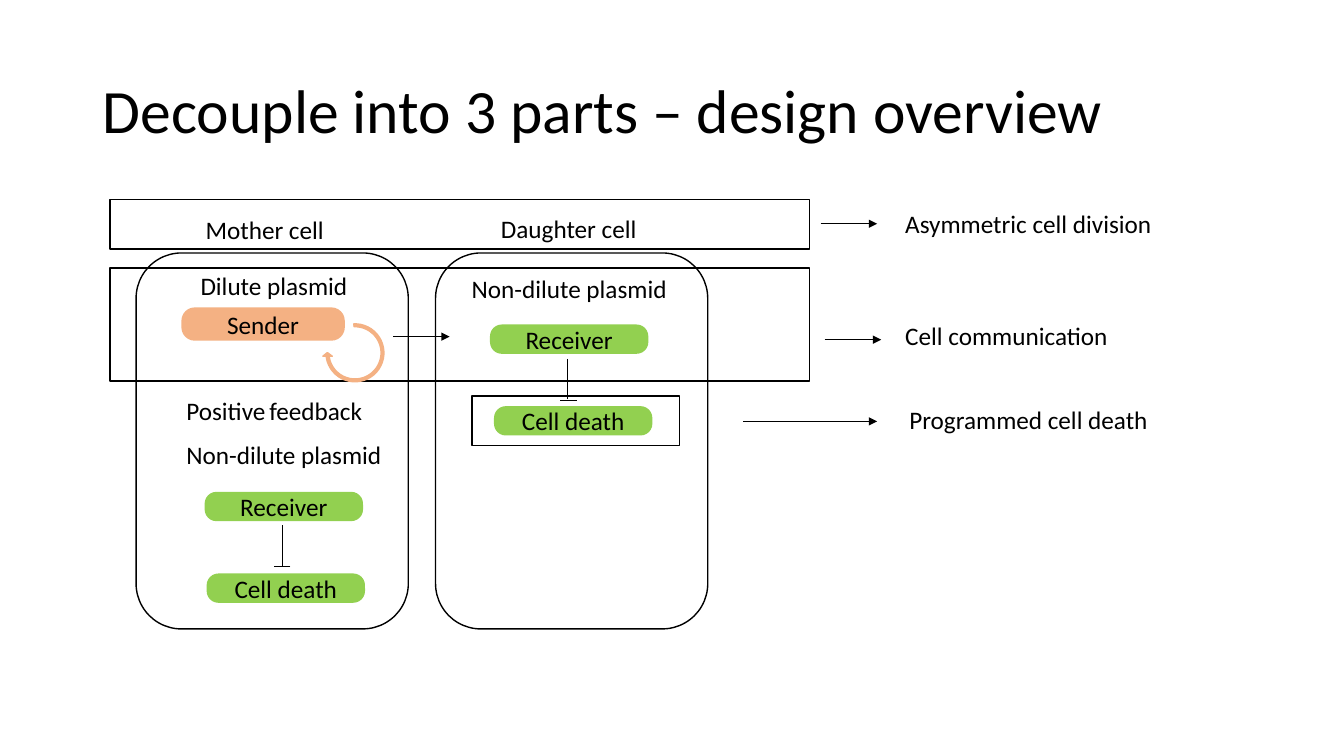
import pptx
import pptx.util
import pptx.dml.color
import pptx.enum.shapes
import pptx.enum.text
import pptx.oxml.ns
import lxml.etree

Inches = pptx.util.Inches
Pt = pptx.util.Pt
SHAPE = pptx.enum.shapes.MSO_SHAPE
ANCHOR = pptx.enum.text.MSO_ANCHOR
ALIGN = pptx.enum.text.PP_ALIGN
AUTO_SIZE = pptx.enum.text.MSO_AUTO_SIZE
BLACK = pptx.dml.color.RGBColor(0x00, 0x00, 0x00)
ORANGE = pptx.dml.color.RGBColor(0xF4, 0xB1, 0x83)
GREEN = pptx.dml.color.RGBColor(0x92, 0xD0, 0x50)
FONT = "Calibri"

presentation = pptx.Presentation()
presentation.slide_width = Inches(13.33)
presentation.slide_height = Inches(7.5)
slide = presentation.slides.add_slide(presentation.slide_layouts[5])


def add_box(kind, left, top, width, height, line_color=BLACK, line_width=1, fill=None):
    shape = slide.shapes.add_shape(
        kind, Inches(left), Inches(top), Inches(width), Inches(height))
    shape.shadow.inherit = False
    if fill is None:
        shape.fill.background()
    else:
        shape.fill.solid()
        shape.fill.fore_color.rgb = fill
    shape.line.color.rgb = line_color
    shape.line.width = Pt(line_width)
    return shape


def set_font(paragraph, size):
    paragraph.font.name = FONT
    paragraph.font.size = Pt(size)
    paragraph.font.color.rgb = BLACK


title = slide.shapes.title
title.left, title.top = Inches(0.92), Inches(0.4)
title.width, title.height = Inches(11.5), Inches(1.45)
title.text_frame.text = "Decouple into 3 parts – design overview"
title.text_frame.word_wrap = True
title.text_frame.auto_size = AUTO_SIZE.NONE
title.text_frame.vertical_anchor = ANCHOR.MIDDLE
title_paragraph = title.text_frame.paragraphs[0]
title_paragraph.alignment = ALIGN.LEFT
title_paragraph.line_spacing = 0.9
set_font(title_paragraph, 44)

for cell_left in (1.35, 4.32):
    add_box(SHAPE.ROUNDED_RECTANGLE, cell_left, 2.51, 2.7, 3.73)

for left, top, width, height in (
    (1.09, 1.98, 6.94, 0.49),
    (1.09, 2.66, 6.94, 1.12),
    (4.68, 3.93, 2.06, 0.49),
):
    add_box(SHAPE.RECTANGLE, left, top, width, height)

for name, left, top, width, height, color in (
    ("Sender", 1.81, 3.06, 1.6, 0.31, ORANGE),
    ("Receiver", 4.87, 3.23, 1.55, 0.27, GREEN),
    ("Cell death", 4.91, 4.04, 1.55, 0.27, GREEN),
    ("Receiver", 2.04, 4.89, 1.55, 0.27, GREEN),
    ("Cell death", 2.06, 5.7, 1.55, 0.27, GREEN),
):
    gene = add_box(SHAPE.ROUNDED_RECTANGLE, left, top, width, height, color, 1.5, color)
    gene.adjustments[0] = 0.394
    gene.text_frame.text = name
    gene.text_frame.vertical_anchor = ANCHOR.MIDDLE
    gene.text_frame.paragraphs[0].alignment = ALIGN.CENTER
    set_font(gene.text_frame.paragraphs[0], 18)

feedback_arrow = add_box(
    SHAPE.CIRCULAR_ARROW, 3.2, 3.18, 0.64, 0.64, ORANGE, 1, ORANGE)
feedback_arrow.rotation = 191.9
for index, value in enumerate((0.044, 4.614, 204.577, 45.609, 0.073)):
    feedback_arrow.adjustments[index] = value

for runs, left, top, width in (
    (["Mother cell"], 1.94, 2.08, 1.39),
    (["Daughter cell"], 4.87, 2.07, 1.56),
    (["Dilute plasmid"], 1.89, 2.63, 1.68),
    (["Non-dilute plasmid"], 4.58, 2.66, 2.16),
    (["Positive", " ", "feedback"], 1.75, 3.87, 1.97),
    (["Non-dilute plasmid"], 1.75, 4.31, 2.16),
    (["Asymmetric cell division"], 8.88, 2.02, 2.67),
    (["Cell communication"], 8.88, 3.13, 2.31),
    (["Programmed cell death"], 8.92, 3.96, 2.59),
):
    label = slide.shapes.add_textbox(
        Inches(left), Inches(top), Inches(width), Inches(0.4))
    label.text_frame.word_wrap = False
    label.text_frame.auto_size = AUTO_SIZE.SHAPE_TO_FIT_TEXT
    paragraph = label.text_frame.paragraphs[0]
    set_font(paragraph, 18)
    for text in runs:
        run = paragraph.add_run()
        run.text = text
        if text == " ":
            run.font.size = Pt(12)

for start_x, start_y, end_x, end_y, has_arrowhead in (
    (5.63, 3.56, 5.63, 3.96, False),
    (5.72, 3.97, 5.55, 3.97, False),
    (2.8, 5.21, 2.8, 5.62, False),
    (2.88, 5.62, 2.72, 5.62, False),
    (3.9, 3.34, 4.46, 3.34, True),
    (8.14, 2.22, 8.7, 2.22, True),
    (8.18, 3.37, 8.74, 3.37, True),
    (7.37, 4.18, 8.7, 4.18, True),
):
    connector = slide.shapes.add_connector(
        pptx.enum.shapes.MSO_CONNECTOR.STRAIGHT,
        Inches(start_x), Inches(start_y), Inches(end_x), Inches(end_y))
    connector.line.color.rgb = BLACK
    connector.line.width = Pt(0.5)
    properties = connector._element.spPr
    lxml.etree.SubElement(properties, pptx.oxml.ns.qn("a:effectLst"))
    if has_arrowhead:
        line = properties.find(pptx.oxml.ns.qn("a:ln"))
        lxml.etree.SubElement(line, pptx.oxml.ns.qn("a:tailEnd"), type="triangle")

presentation.save("out.pptx")
